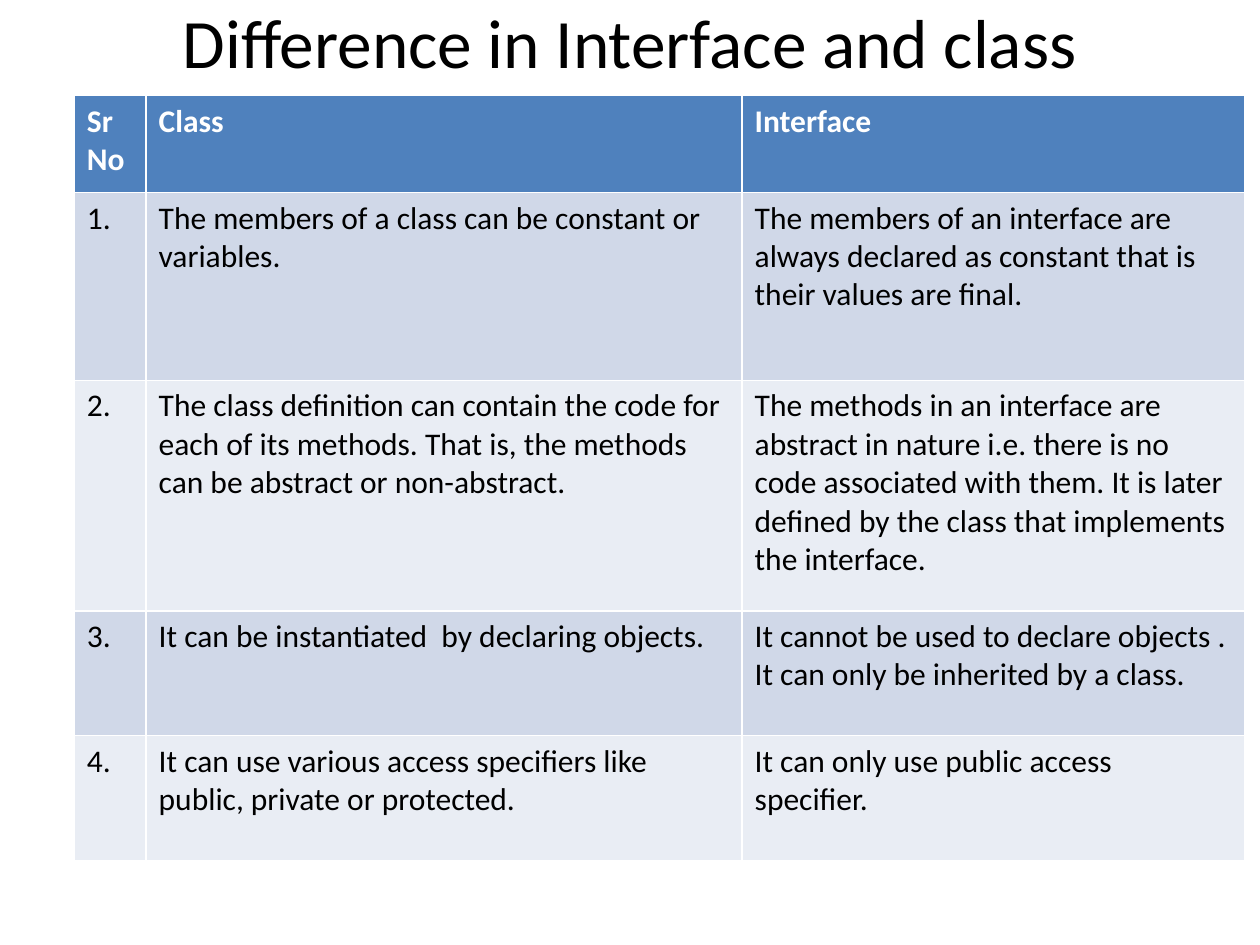
from pptx import Presentation
from pptx.dml.color import RGBColor
from pptx.enum.text import MSO_ANCHOR, PP_ALIGN
from pptx.util import Inches, Pt

BLACK = RGBColor(0x00, 0x00, 0x00)
WHITE = RGBColor(0xFF, 0xFF, 0xFF)
HEADER_BLUE = RGBColor(0x4F, 0x81, 0xBD)
BAND_FILLS = (RGBColor(0xE9, 0xED, 0xF4), RGBColor(0xD0, 0xD8, 0xE8))

COLUMN_WIDTHS = (0.57, 4.73, 3.99)
ROW_HEIGHTS = (0.77, 1.49, 1.83, 0.99, 0.99)
ROWS = (
    ("Sr No", "Class", "Interface"),
    (
        "1.",
        "The members of a class can be constant or variables.",
        "The members of an interface are always declared as constant "
        "that is their values are final.",
    ),
    (
        "2.",
        "The class definition can contain the code for each of its methods. "
        "That is, the methods can be abstract or non-abstract.",
        "The methods in an interface are abstract in nature i.e. there is no code "
        "associated with them. It is later defined by the class that implements "
        "the interface.",
    ),
    (
        "3.",
        "It can be instantiated  by declaring objects.",
        "It cannot be used to declare objects . It can only be inherited by a class.",
    ),
    (
        "4.",
        "It can use various access specifiers like public, private or protected.",
        "It can only use public access specifier.",
    ),
)


def write_text(text_frame, text, size=18, color=BLACK, bold=False, align=PP_ALIGN.LEFT):
    paragraph = text_frame.paragraphs[0]
    paragraph.alignment = align
    run = paragraph.add_run()
    run.text = text
    run.font.name = "Calibri"
    run.font.size = Pt(size)
    run.font.bold = bold
    run.font.color.rgb = color


def add_title(slide, text):
    title = slide.shapes.title
    title.left, title.top = Inches(0.75), Inches(0.13)
    title.width, title.height = Inches(8.5), Inches(0.39)
    title.text_frame.vertical_anchor = MSO_ANCHOR.MIDDLE
    write_text(title.text_frame, text, size=39.6, align=PP_ALIGN.CENTER)


def add_comparison_table(slide):
    table = slide.shapes.add_table(
        len(ROWS), len(COLUMN_WIDTHS), Inches(0.59), Inches(0.76),
        Inches(sum(COLUMN_WIDTHS)), Inches(sum(ROW_HEIGHTS)),
    ).table
    for column, width in zip(table.columns, COLUMN_WIDTHS):
        column.width = Inches(width)
    for row_index, texts in enumerate(ROWS):
        is_header = row_index == 0
        table.rows[row_index].height = Inches(ROW_HEIGHTS[row_index])
        for cell, text in zip(table.rows[row_index].cells, texts):
            cell.fill.solid()
            cell.fill.fore_color.rgb = HEADER_BLUE if is_header else BAND_FILLS[row_index % 2]
            write_text(cell.text_frame, text, color=WHITE if is_header else BLACK, bold=is_header)


def main():
    presentation = Presentation()
    presentation.slide_width, presentation.slide_height = Inches(10), Inches(7.5)
    slide = presentation.slides.add_slide(presentation.slide_layouts[0])
    subtitle = slide.placeholders[1].element
    subtitle.getparent().remove(subtitle)
    add_title(slide, "Difference in Interface and class")
    add_comparison_table(slide)
    presentation.save("out.pptx")


if __name__ == "__main__":
    main()
